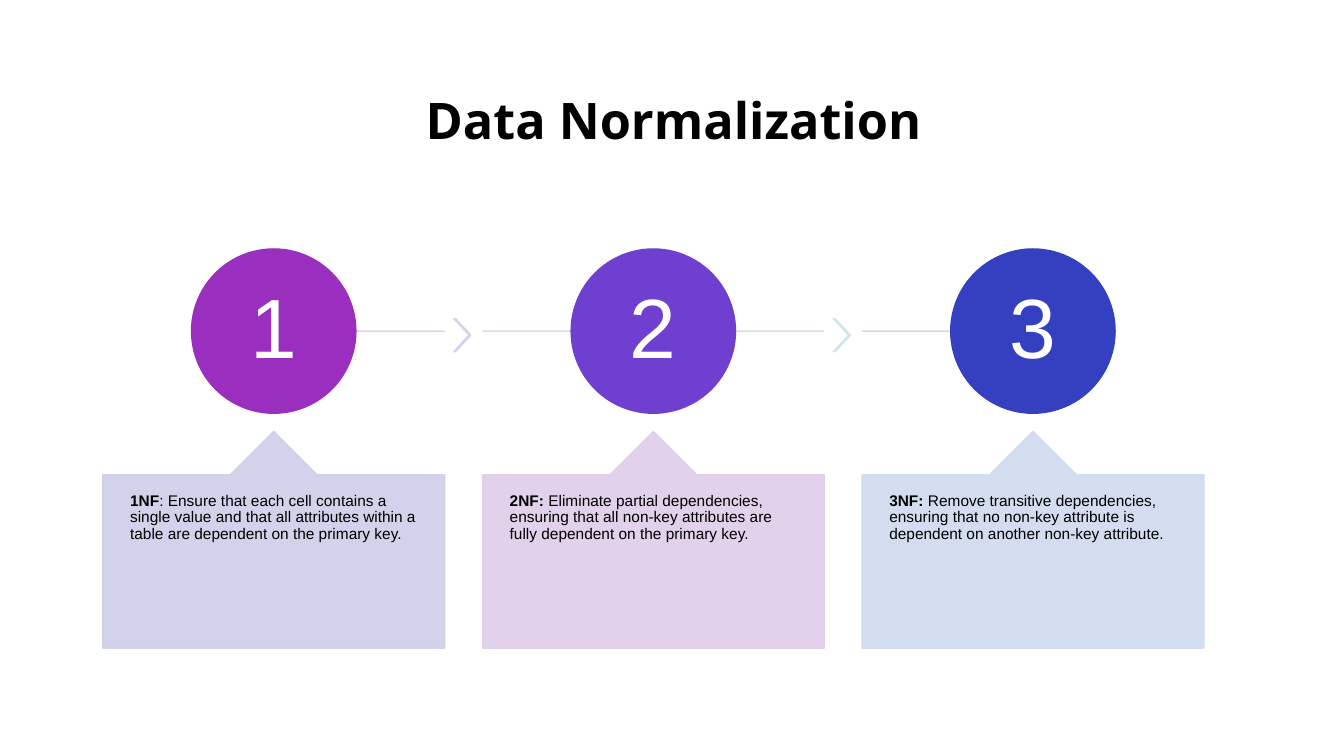
from lxml.etree import SubElement
from pptx import Presentation
from pptx.dml.color import RGBColor
from pptx.enum.shapes import MSO_CONNECTOR, MSO_SHAPE
from pptx.enum.text import MSO_ANCHOR, MSO_AUTO_SIZE, PP_ALIGN
from pptx.oxml.ns import qn
from pptx.util import Inches, Pt

TITLE = "Data Normalization"
# number, bold label, explanation, circle, callout, line, chevron
STEPS = [
    ("1", "1NF", ": Ensure that each cell contains a single value and that all "
     "attributes within a table are dependent on the primary key.",
     "purple", "lavender", "pink", "lilac"),
    ("2", "2NF: ", "Eliminate partial dependencies, ensuring that all non-key "
     "attributes are fully dependent on the primary key.",
     "violet", "pink", "sky", "mint"),
    ("3", "3NF: ", "Remove transitive dependencies, ensuring that no non-key "
     "attribute is dependent on another non-key attribute.",
     "blue", "sky", "lilac", None),
]
COLORS = {
    "black": "000000", "white": "FFFFFF",
    "purple": "9A2EBE", "violet": "6F40D0", "blue": "3440C0",
    "lavender": "CECFE8", "pink": "DECDE8", "sky": "CFDAEE",
    "lilac": "D5CFEE", "mint": "CDE5E8",
}
FORMATS = {
    "title": {"name": "Open Sans", "size": Pt(36), "bold": True},
    "number": {"name": "Arial", "size": Pt(60), "bold": False},
    "label": {"name": "Arial", "size": Pt(11), "bold": True},
    "body": {"name": "Arial", "size": Pt(11), "bold": False},
}

# Measures in inches
LEFT, PITCH, WIDTH = 1.02, 3.765, 3.39
CIRCLE_TOP, CIRCLE = 2.47, 1.63
CALLOUT_TOP, CALLOUT_HEIGHT = 4.28, 2.15
CHEVRON_GAP, CHEVRON_TOP, CHEVRON_WIDTH, CHEVRON_HEIGHT = 0.09, 3.16, 0.17, 0.33
LINE_Y = CIRCLE_TOP + CIRCLE / 2


def rgb(color):
    return RGBColor.from_string(COLORS[color])


def make_translucent(part):
    for color in part._element.spPr.iter(qn("a:srgbClr")):
        SubElement(color, qn("a:alpha"), val="90000")


def add_part(preset, left, top, width, height, color):
    part = slide.shapes.add_shape(
        preset, Inches(left), Inches(top), Inches(width), Inches(height))
    part.shadow.inherit = False
    part.fill.solid()
    part.fill.fore_color.rgb = rgb(color)
    part.line.color.rgb = rgb(color)
    part.line.width = Pt(1)
    return part


def set_frame(frame, anchor, margin_x, margin_y):
    frame.word_wrap = True
    frame.auto_size = MSO_AUTO_SIZE.NONE
    frame.vertical_anchor = anchor
    frame.margin_left = frame.margin_right = Inches(margin_x)
    frame.margin_top = frame.margin_bottom = Inches(margin_y)


def write(frame, align, color, runs):
    paragraph = frame.paragraphs[0]
    paragraph.alignment = align
    paragraph.line_spacing = 0.9
    for text, style in runs:
        run = paragraph.add_run()
        run.text = text
        run.font.color.rgb = rgb(color)
        for attribute, value in FORMATS[style].items():
            setattr(run.font, attribute, value)


prs = Presentation()
prs.slide_width, prs.slide_height = Inches(13.33), Inches(7.5)
slide = prs.slides.add_slide(prs.slide_layouts[5])

# Title
title = slide.shapes.title
title.left, title.top = Inches(1.67), Inches(0.6)
title.width, title.height = Inches(10.02), Inches(1.24)
set_frame(title.text_frame, MSO_ANCHOR.MIDDLE, 0.1, 0.05)
write(title.text_frame, PP_ALIGN.CENTER, "black", [(TITLE, "title")])

for index, (number, label, body, circle_color, callout_color,
            line_color, chevron_color) in enumerate(STEPS):
    left = LEFT + index * PITCH
    center, right = left + WIDTH / 2, left + WIDTH

    # Line behind the circle: the first starts and the last ends at its centre
    start = center if index == 0 else left
    end = center if index == len(STEPS) - 1 else right
    line = slide.shapes.add_connector(
        MSO_CONNECTOR.STRAIGHT, Inches(start), Inches(LINE_Y),
        Inches(end), Inches(LINE_Y))
    line.line.color.rgb = rgb(line_color)
    line.line.width = Pt(1)
    SubElement(line._element.spPr, qn("a:effectLst"))
    make_translucent(line)

    # Chevron towards the next step
    if chevron_color:
        chevron = add_part(MSO_SHAPE.CHEVRON, right + CHEVRON_GAP, CHEVRON_TOP,
                           CHEVRON_WIDTH, CHEVRON_HEIGHT, chevron_color)
        chevron.adjustments[0] = 0.9
        make_translucent(chevron)

    # Numbered circle
    circle = add_part(MSO_SHAPE.OVAL, center - CIRCLE / 2, CIRCLE_TOP,
                      CIRCLE, CIRCLE, circle_color)
    set_frame(circle.text_frame, MSO_ANCHOR.MIDDLE, 0.06, 0.06)
    write(circle.text_frame, PP_ALIGN.CENTER, "white", [(number, "number")])

    # Callout with the explanation
    callout = add_part(MSO_SHAPE.UP_ARROW_CALLOUT, left, CALLOUT_TOP,
                       WIDTH, CALLOUT_HEIGHT, callout_color)
    for position, value in enumerate((0.5, 0.2, 0.2, 1)):
        callout.adjustments[position] = value
    make_translucent(callout)
    set_frame(callout.text_frame, MSO_ANCHOR.TOP, 0.27, 0.18)
    write(callout.text_frame, PP_ALIGN.LEFT, "black",
          [(label, "label"), (body, "body")])

prs.save("out.pptx")
